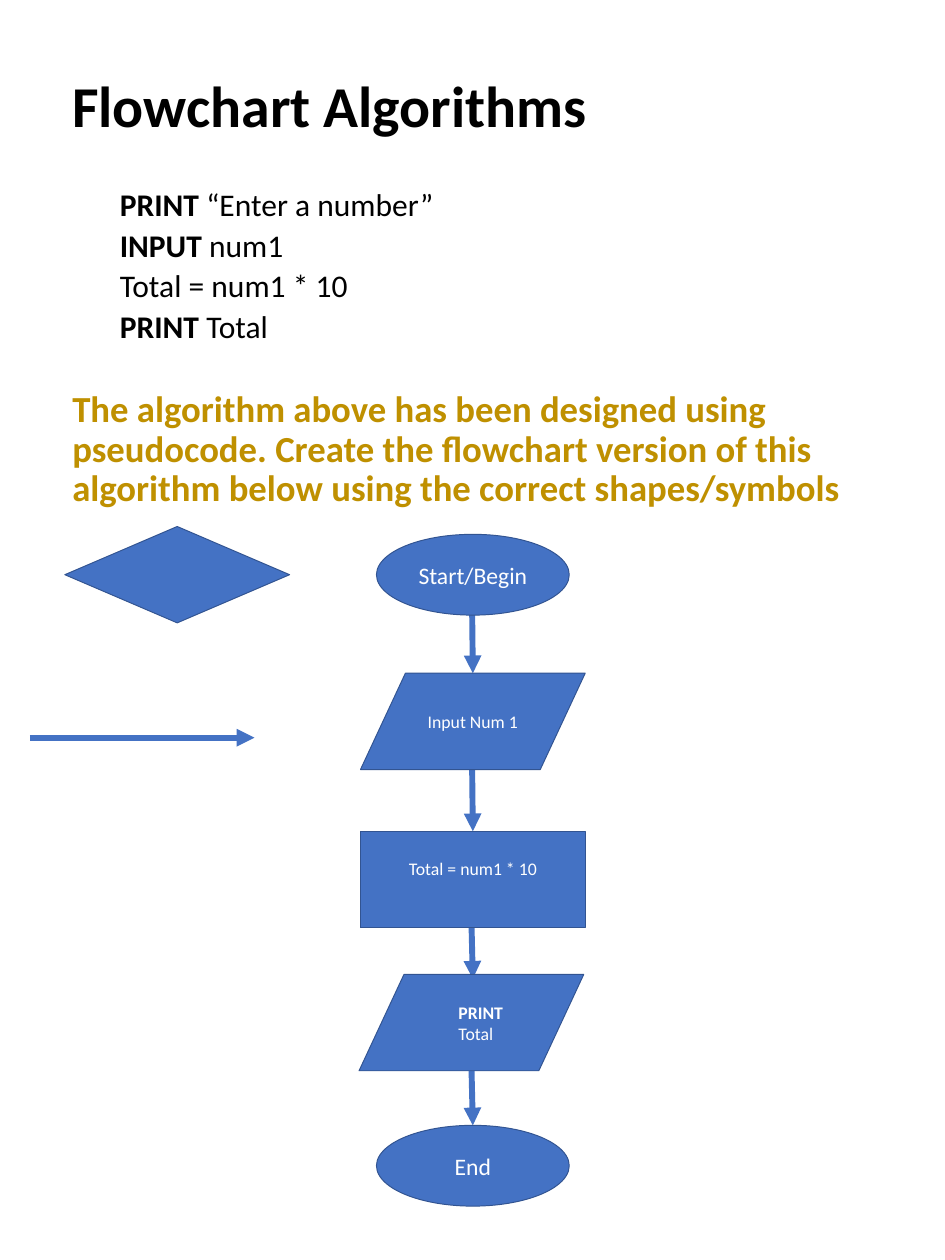
from dataclasses import dataclass

from lxml import etree
from pptx import Presentation
from pptx.dml.color import RGBColor
from pptx.enum.shapes import MSO_CONNECTOR, MSO_SHAPE
from pptx.enum.text import MSO_ANCHOR, MSO_AUTO_SIZE, PP_ALIGN
from pptx.oxml.ns import qn
from pptx.util import Inches, Pt

OVAL = MSO_SHAPE.OVAL
DATA = MSO_SHAPE.FLOWCHART_DATA
PROCESS = MSO_SHAPE.FLOWCHART_PROCESS
CHOICE = MSO_SHAPE.FLOWCHART_DECISION
STRAIGHT = MSO_CONNECTOR.STRAIGHT
LEFT, CENTER = PP_ALIGN.LEFT, PP_ALIGN.CENTER
TOP, MIDDLE = MSO_ANCHOR.TOP, MSO_ANCHOR.MIDDLE
NO_FIT = MSO_AUTO_SIZE.NONE


@dataclass(frozen=True)
class Theme:
    font: str = "Calibri"
    ink: str = "000000"
    gold: str = "BF9000"
    blue: str = "4472C4"
    edge: str = "325491"
    white: str = "FFFFFF"
    title: float = 58.7
    code: float = 32
    task: float = 37.3
    end: float = 24
    step: float = 18


THEME = Theme()
INDENT = 0.67
AXIS = 6.67
OVAL_SIZE = (2.72, 1.14)
STEP_SIZE = (3.17, 1.36)


def apply(item, values):
    for name, value in values.items():
        setattr(item, name, value)


def place(item, left, top, width, height):
    apply(item, {"left": Inches(left), "top": Inches(top),
                 "width": Inches(width), "height": Inches(height)})


def add_run(par, text, size, color, bold=False):
    run = par.add_run()
    run.text = text
    apply(run.font, {"name": THEME.font, "size": Pt(size), "bold": bold})
    run.font.color.rgb = RGBColor.from_string(color)


def add_words(par, key, rest, size, color):
    """Write a bold keyword followed by plain text."""
    if key:
        add_run(par, key, size, color, True)
    if rest:
        add_run(par, rest, size, color)


def set_indent(par, inches):
    props = par._p.get_or_add_pPr()
    props.set("marL", str(Inches(inches)))
    props.set("indent", "0")
    return props


def add_line(par, key, rest, size, color, indent, gap):
    apply(par, {"alignment": LEFT, "line_spacing": 0.9,
                "space_before": Pt(gap)})
    props = set_indent(par, indent)
    etree.SubElement(props, qn("a:buNone"))
    add_words(par, key, rest, size, color)


def add_title(slide, text):
    title = slide.shapes.title
    place(title, 0.92, 0.95, 11.5, 1.17)
    apply(title.text_frame, {"vertical_anchor": MIDDLE, "word_wrap": True,
                             "auto_size": NO_FIT})
    par = title.text_frame.paragraphs[0]
    apply(par, {"alignment": LEFT, "line_spacing": 0.9})
    add_run(par, text, THEME.title, THEME.ink, True)


def add_body(slide, code, task):
    body = slide.placeholders[1]
    place(body, 0.92, 2.62, 11.5, 4.88)
    frame = body.text_frame
    apply(frame, {"vertical_anchor": TOP, "word_wrap": True,
                  "auto_size": NO_FIT})
    for row, (key, rest) in enumerate(code):
        par = frame.add_paragraph() if row else frame.paragraphs[0]
        add_line(par, key, rest, THEME.code, THEME.ink, INDENT, 6.7)
    add_line(frame.add_paragraph(), task, "", THEME.task, THEME.gold, 0, 46.4)


def add_symbol(slide, kind, size, mid, top):
    width, height = size
    shape = slide.shapes.add_shape(kind, Inches(mid - width / 2), Inches(top),
                                   Inches(width), Inches(height))
    shape.shadow.inherit = False
    shape.fill.solid()
    shape.fill.fore_color.rgb = RGBColor.from_string(THEME.blue)
    shape.line.color.rgb = RGBColor.from_string(THEME.edge)
    shape.line.width = Pt(1)
    apply(shape.text_frame, {"vertical_anchor": MIDDLE, "word_wrap": True})
    return shape


def add_label(shape, key, rest, size, indent=0, lift=0):
    frame = shape.text_frame
    frame.margin_bottom = Inches(0.05 + lift)
    par = frame.paragraphs[0]
    par.alignment = LEFT if indent else CENTER
    set_indent(par, indent)
    add_words(par, key, rest, size, THEME.white)


def add_arrow(slide, *ends):
    line = slide.shapes.add_connector(STRAIGHT, *map(Inches, ends))
    line.line.color.rgb = RGBColor.from_string(THEME.blue)
    line.line.width = Pt(6)
    tail = etree.SubElement(line.line._get_or_add_ln(), qn("a:tailEnd"))
    tail.set("type", "triangle")
    etree.SubElement(line._element.spPr, qn("a:effectLst"))


def main():
    deck = Presentation()
    apply(deck, {"slide_width": Inches(13.33), "slide_height": Inches(17.78)})
    slide = deck.slides.add_slide(deck.slide_layouts[1])

    # Heading, pseudocode and task
    add_title(slide, "Flowchart Algorithms")
    code = [("PRINT", " “Enter a number”"), ("INPUT", " num1"),
            ("", "Total = num1 * 10"), ("PRINT", " Total")]
    add_body(slide, code, "The algorithm above has been designed using "
             "pseudocode. Create the flowchart version of this algorithm "
             "below using the correct shapes/symbols")

    # Spare symbols at the left
    add_symbol(slide, CHOICE, STEP_SIZE, 2.5, 7.43)
    add_arrow(slide, 0.42, 10.41, 3.59, 10.41)

    # Arrows run behind the steps
    for start, top, foot in [(6.66, 8.62, 9.5), (6.66, 10.85, 11.73),
                             (6.65, 13.01, 13.81), (6.65, 15.05, 15.88)]:
        add_arrow(slide, start, top, AXIS, foot)

    # Flowchart steps
    steps = [
        (OVAL, OVAL_SIZE, AXIS, 7.54, "", "Start/Begin", THEME.end, {}),
        (DATA, STEP_SIZE, AXIS, 9.5, "", "Input Num 1", THEME.step, {}),
        (PROCESS, STEP_SIZE, AXIS, 11.73, "", "Total = num1 * 10",
         THEME.step, {"lift": 0.3}),
        (DATA, STEP_SIZE, 6.65, 13.75, "PRINT", " Total", THEME.step,
         {"indent": INDENT}),
        (OVAL, OVAL_SIZE, AXIS, 15.88, "", "End", THEME.end, {}),
    ]
    for kind, size, mid, top, key, rest, points, extra in steps:
        shape = add_symbol(slide, kind, size, mid, top)
        add_label(shape, key, rest, points, **extra)

    deck.save("out.pptx")


main()
